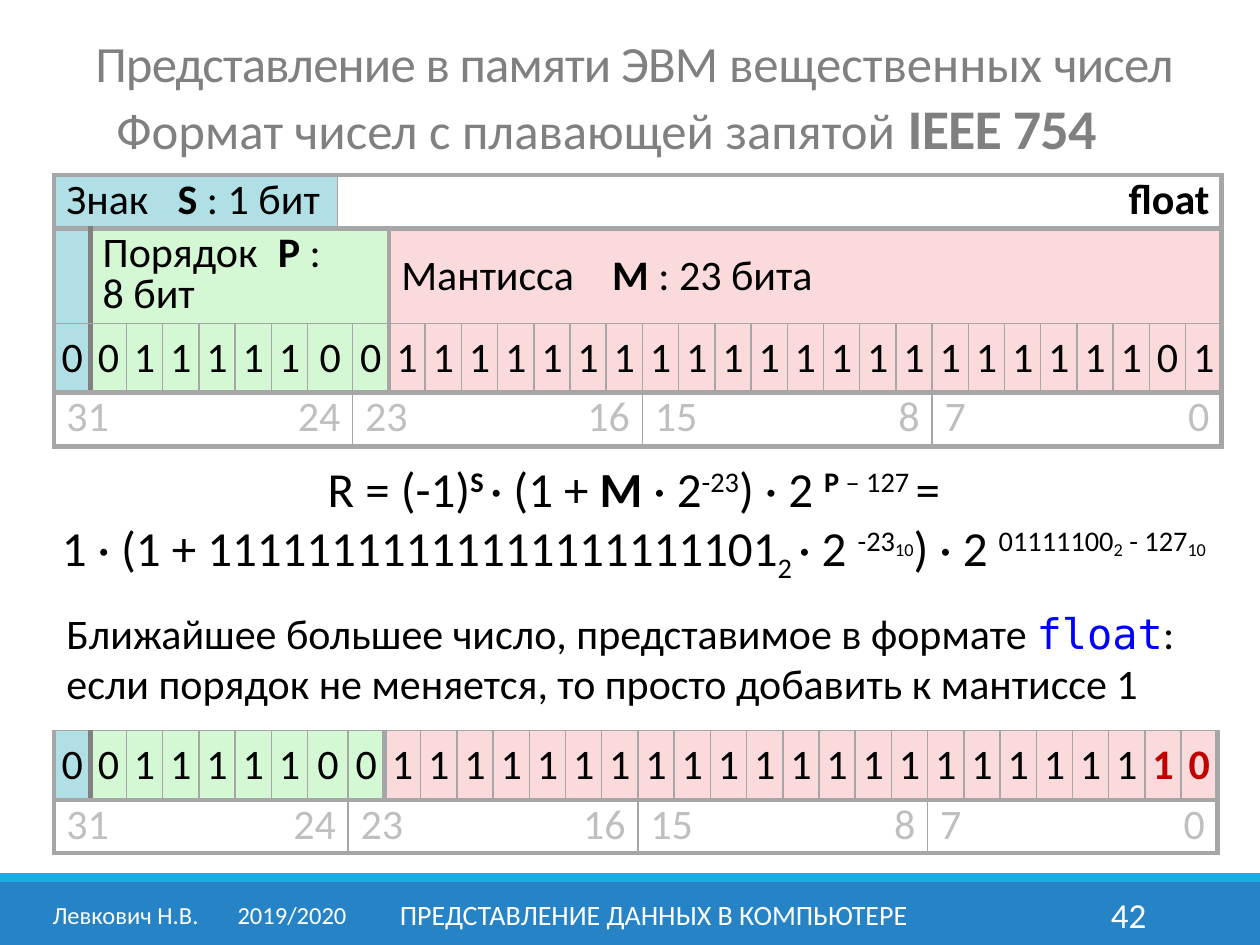
from dataclasses import dataclass

from lxml.etree import SubElement
from pptx import Presentation
from pptx.dml.color import RGBColor
from pptx.enum.shapes import MSO_SHAPE
from pptx.enum.text import MSO_ANCHOR, MSO_AUTO_SIZE, PP_ALIGN
from pptx.oxml.ns import qn
from pptx.util import Cm, Pt


@dataclass(frozen=True)
class Theme:
    font: str = "Calibri"
    mono: str = "DejaVu Sans Mono"
    black: str = "000000"
    white: str = "FFFFFF"
    title: str = "808080"
    label: str = "BFBFBF"
    keyword: str = "0000FF"
    changed: str = "C00000"
    sign: str = "B0E0E6"
    exponent: str = "D4F8D4"
    mantissa: str = "FADADA"
    footer: str = "2683C6"
    stripe: str = "1CADE4"
    thin: tuple = ("A6A6A6", 1)
    thick: tuple = ("A6A6A6", 3)
    dark: tuple = ("808080", 3)
    title_size: int = 29
    standard_size: int = 32
    formula_size: int = 28
    index_size: int = 18
    body_size: int = 24
    number_size: int = 20
    course_size: int = 16
    author_size: int = 14


THEME = Theme()
BIT_WIDTH = 0.73
BYTE_LABELS = ["31", "24", "23", "16", "15", "8", "7", "0"]


def write(paragraph, text, size=THEME.body_size, color=THEME.black, bold=False,
          font=THEME.font, base=0, spacing=0):
    run = paragraph.add_run()
    run.text = text
    run.font.size = Pt(size)
    run.font.name = font
    run.font.bold = bold
    run.font.color.rgb = RGBColor.from_string(color)
    properties = run._r.get_or_add_rPr()
    if base:
        properties.set("baseline", str(base * 1000))
    if spacing:
        properties.set("spc", str(int(spacing * 100)))


def arrange(paragraph, align=PP_ALIGN.LEFT, line=None, tab=None, indent=None):
    paragraph.alignment = align
    if line:
        paragraph.line_spacing = line
    properties = paragraph._p.get_or_add_pPr()
    if indent:
        properties.set("marL", str(Cm(indent)))
    if tab:
        stops = SubElement(properties, qn("a:tabLst"))
        SubElement(stops, qn("a:tab"), pos=str(Cm(tab)), algn="l")


def add_text_area(slide, left, top, width, height, anchor=MSO_ANCHOR.TOP):
    frame = slide.shapes.add_textbox(Cm(left), Cm(top), Cm(width), Cm(height)).text_frame
    frame.word_wrap = True
    frame.vertical_anchor = anchor
    return frame


def add_band(slide, top, height, color):
    band = slide.shapes.add_shape(MSO_SHAPE.RECTANGLE, 0, Cm(top), Cm(25.4), Cm(height))
    band.shadow.inherit = False
    band.fill.solid()
    band.fill.fore_color.rgb = RGBColor.from_string(color)
    band.line.fill.background()


def add_grid(slide, top, widths, heights):
    table = slide.shapes.add_table(len(heights), len(widths), Cm(1.09), Cm(top),
                                   Cm(sum(widths)), Cm(sum(heights))).table
    table.first_row = table.horz_banding = False
    for column, width in zip(table.columns, widths):
        column.width = Cm(width)
    for row, height in zip(table.rows, heights):
        row.height = Cm(height)
    return table


def draw_edge(cell, side, edge):
    properties = cell._tc.get_or_add_tcPr()
    if edge is None:
        SubElement(SubElement(properties, qn("a:ln" + side), w="0"), qn("a:noFill"))
        return
    color, width = edge
    line = SubElement(properties, qn("a:ln" + side), w=str(Pt(width)))
    SubElement(SubElement(line, qn("a:solidFill")), qn("a:srgbClr"), val=color)


def add_field(table, row, start, end, left, right, top, bottom, fill=None,
              inset=0.25, anchor=MSO_ANCHOR.MIDDLE):
    """Merge columns start..end-1, frame them and return the paragraph inside."""
    field = table.cell(row, start)
    if end - start > 1:
        field.merge(table.cell(row, end - 1))
    for column in range(start, end):
        cell = table.cell(row, column)
        edges = {"L": left if column == start else None,
                 "R": right if column in (start, end - 1) else None,
                 "T": top, "B": bottom}
        for side, edge in edges.items():
            draw_edge(cell, side, edge)
    if fill:
        field.fill.solid()
        field.fill.fore_color.rgb = RGBColor.from_string(fill)
    else:
        field.fill.background()
    field.margin_left = field.margin_right = Cm(inset)
    field.vertical_anchor = anchor
    return field.text_frame.paragraphs[0]


def add_bits(table, row, bits, starts, changed=0):
    """Fill a row of 32 bits and the row of bit numbers below it."""
    t = THEME
    borders = {0: t.thick, 1: t.dark, 9: t.thick, 32: t.thick}
    for i, bit in enumerate(bits):
        fill = t.sign if i == 0 else t.exponent if i < 9 else t.mantissa
        paragraph = add_field(table, row, starts[i], starts[i + 1], borders.get(i, t.thin),
                              borders.get(i + 1, t.thin), t.thin, t.thick, fill, inset=0.1)
        arrange(paragraph, PP_ALIGN.CENTER)
        is_changed = i >= len(bits) - changed
        write(paragraph, bit, bold=is_changed, color=t.changed if is_changed else t.black)
    for i, label in enumerate(BYTE_LABELS):
        closes_byte = i % 2 == 1
        left = None if closes_byte else borders.get(i * 4, t.thin)
        right = borders.get(i * 4 + 4, t.thin) if closes_byte else None
        paragraph = add_field(table, row + 1, starts[i * 4], starts[i * 4 + 4],
                              left, right, t.thick, t.thick)
        arrange(paragraph, PP_ALIGN.RIGHT if closes_byte else PP_ALIGN.LEFT, line=0.8)
        write(paragraph, label, color=t.label)


def add_title(slide):
    title = slide.shapes.title
    title.left, title.top, title.width, title.height = Cm(0.79), Cm(1.02), Cm(24), Cm(2.03)
    frame = title.text_frame
    frame.auto_size = MSO_AUTO_SIZE.NONE
    frame.vertical_anchor = MSO_ANCHOR.MIDDLE
    style = {"size": THEME.title_size, "color": THEME.title}
    topic, standard = frame.paragraphs[0], frame.add_paragraph()
    arrange(topic, PP_ALIGN.CENTER, line=0.85)
    write(topic, "Представление в памяти ЭВМ ", spacing=-0.5, **style)
    write(topic, "вещественных ", **style)
    write(topic, "чисел", spacing=-0.5, **style)
    arrange(standard, indent=1.3)
    write(standard, "Формат чисел с плавающей запятой ", **style)
    write(standard, "IEEE 754", THEME.standard_size, THEME.title, bold=True, spacing=-0.5)


def add_float_layout(slide):
    t = THEME
    widths = [BIT_WIDTH] * 7 + [0.58, 0.31] + [BIT_WIDTH] * 24
    table = add_grid(slide, 3.53, widths, [1.06, 1.9, 1.4, 1.06])
    sign = add_field(table, 0, 0, 8, t.thick, t.thin, t.thick, t.thick, t.sign)
    kind = add_field(table, 0, 8, 33, t.thin, t.thick, t.thick, t.thick, anchor=MSO_ANCHOR.TOP)
    add_field(table, 1, 0, 1, t.thick, t.dark, t.thick, t.thin, t.sign)
    exponent = add_field(table, 1, 1, 10, t.dark, t.thick, t.thick, t.thin, t.exponent)
    mantissa = add_field(table, 1, 10, 33, t.thick, t.thick, t.thick, t.thin, t.mantissa)
    arrange(kind, PP_ALIGN.RIGHT, line=0.8)
    write(kind, "float", bold=True)
    for part, name, symbol, note, tab, line in [
            (sign, "Знак", "S ", ": 1 бит", 2.24, 0.8),
            (exponent, "Порядок", "P", " :", 3.53, 0.8),
            (mantissa, "Мантисса", "M ", ": 23 бита", 4.25, None)]:
        arrange(part, line=line, tab=tab)
        write(part, name + "\t")
        write(part, symbol, bold=True)
        write(part, note)
    exponent.add_line_break()
    write(exponent, "8 бит")
    add_bits(table, 2, "0" + "01111100" + "1" * 21 + "01", [*range(8), *range(9, 34)])


def add_formula(slide):
    frame = add_text_area(slide, 0.08, 9.12, 25.4, 2.64)
    bold, power = {"bold": True}, {"base": 30}
    index = {"base": 30, "size": THEME.index_size}
    general = [("R = (-1)", {}), ("S ", bold | power), ("· (1 + ", {}), ("M ", bold),
               ("· 2", {}), ("-23", power), (") · 2 ", {}), ("P", bold | power),
               (" – 127 ", power), ("=", {})]
    example = [("1 · (1 + " + "1" * 21 + "01", {}), ("2 ", {"base": -25}), ("· 2 ", {}),
               ("-23", power), ("10", index), (") · 2 ", {}), ("01111100", power),
               ("2", index), (" - 127", power), ("10", index)]
    for paragraph, terms in [(frame.paragraphs[0], general), (frame.add_paragraph(), example)]:
        arrange(paragraph, PP_ALIGN.CENTER)
        for text, style in terms:
            write(paragraph, text, **({"size": THEME.formula_size} | style))


def add_next_number(slide):
    frame = add_text_area(slide, 1.09, 12.12, 23.8, 2.31)
    question = frame.paragraphs[0]
    write(question, "Ближайшее большее число, представимое в формате ")
    write(question, "float", color=THEME.keyword, font=THEME.mono)
    write(question, ":")
    write(frame.add_paragraph(), "если порядок не меняется, то просто добавить к мантиссе 1")
    widths = [BIT_WIDTH] * 7 + [0.82] + [BIT_WIDTH] * 24
    table = add_grid(slide, 14.73, widths, [1.4, 1.06])
    add_bits(table, 0, "0" + "01111100" + "1" * 22 + "0", range(33), changed=2)


def add_footer(slide):
    for left, width, text, size, align, tab in [
            (0.81, 6.63, "Левкович Н.В.\t2019/2020", THEME.author_size, PP_ALIGN.LEFT, 3.73),
            (20.62, 2.74, "42", THEME.number_size, PP_ALIGN.RIGHT, None),
            (7.67, 11.02, "ПРЕДСТАВЛЕНИЕ ДАННЫХ В КОМПЬЮТЕРЕ", THEME.course_size,
             PP_ALIGN.CENTER, None)]:
        note = add_text_area(slide, left, 17.93, width, 1.02, MSO_ANCHOR.MIDDLE).paragraphs[0]
        arrange(note, align, tab=tab)
        write(note, text, size, THEME.white)


def main():
    deck = Presentation()
    deck.slide_width, deck.slide_height = Cm(25.4), Cm(19.05)
    slide = deck.slides.add_slide(deck.slide_layouts[5])
    # Footer bands
    add_band(slide, 17.78, 1.27, THEME.footer)
    add_band(slide, 17.6, 0.18, THEME.stripe)
    # Content
    add_title(slide)
    add_float_layout(slide)
    add_formula(slide)
    add_next_number(slide)
    add_footer(slide)
    deck.save("out.pptx")


main()
